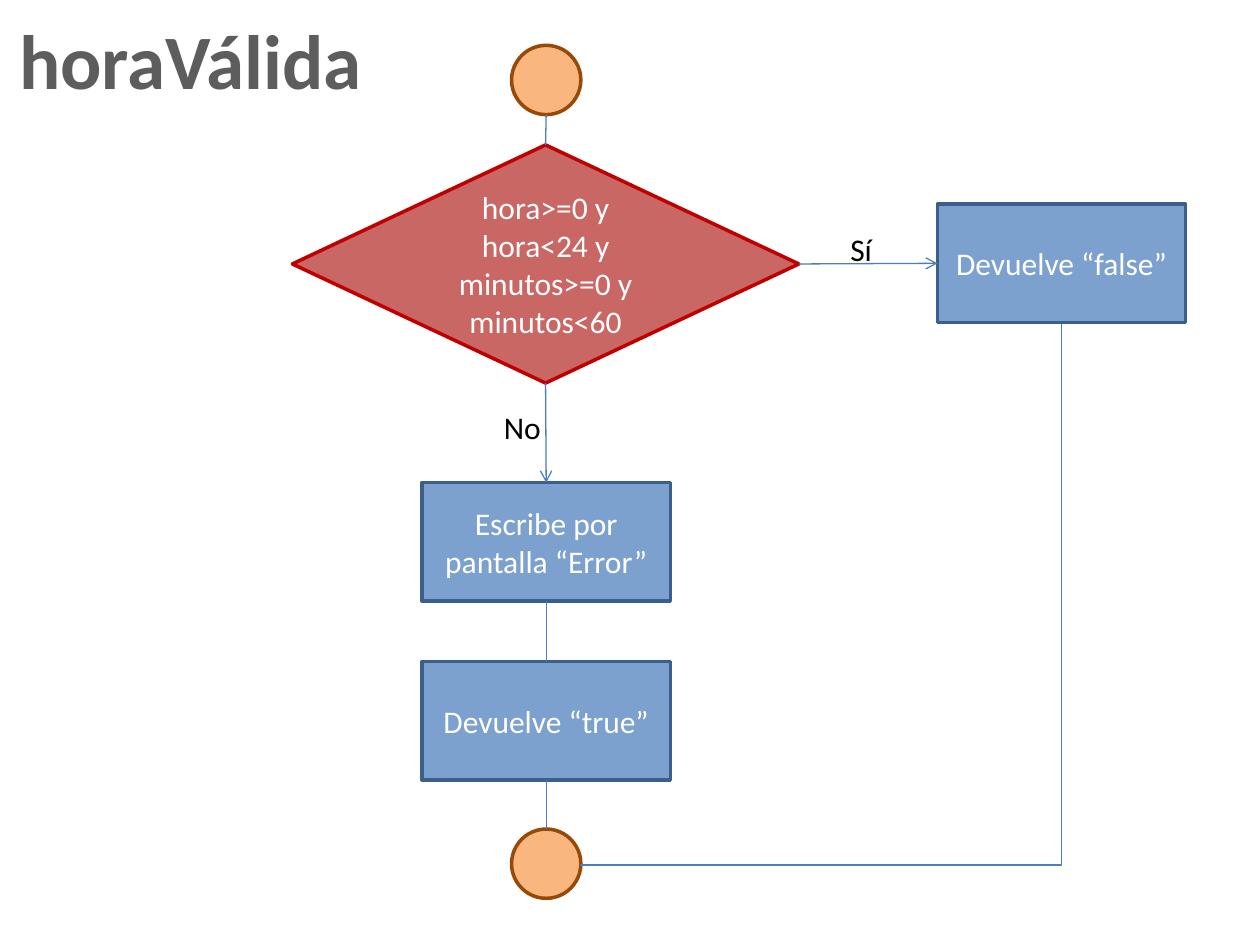
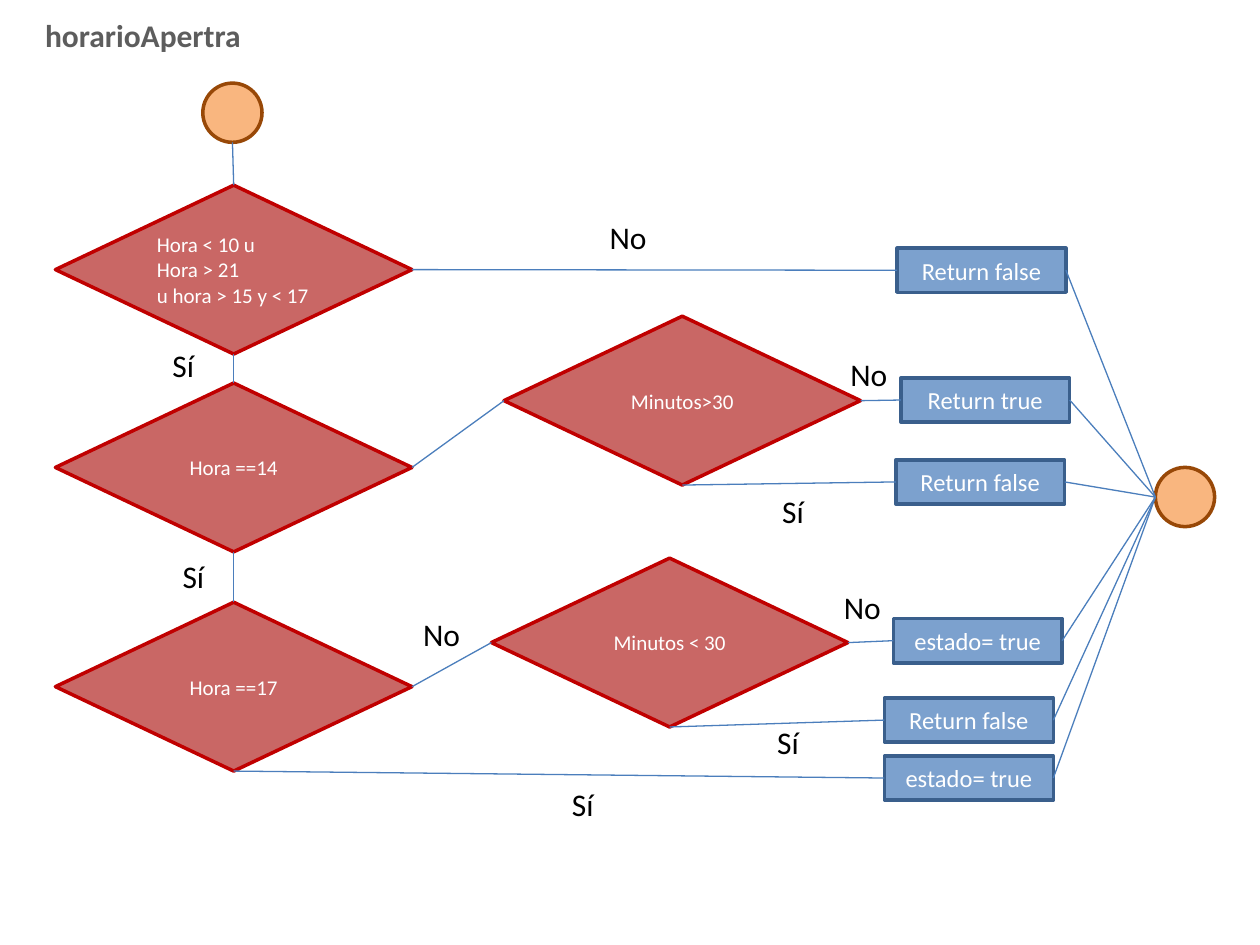
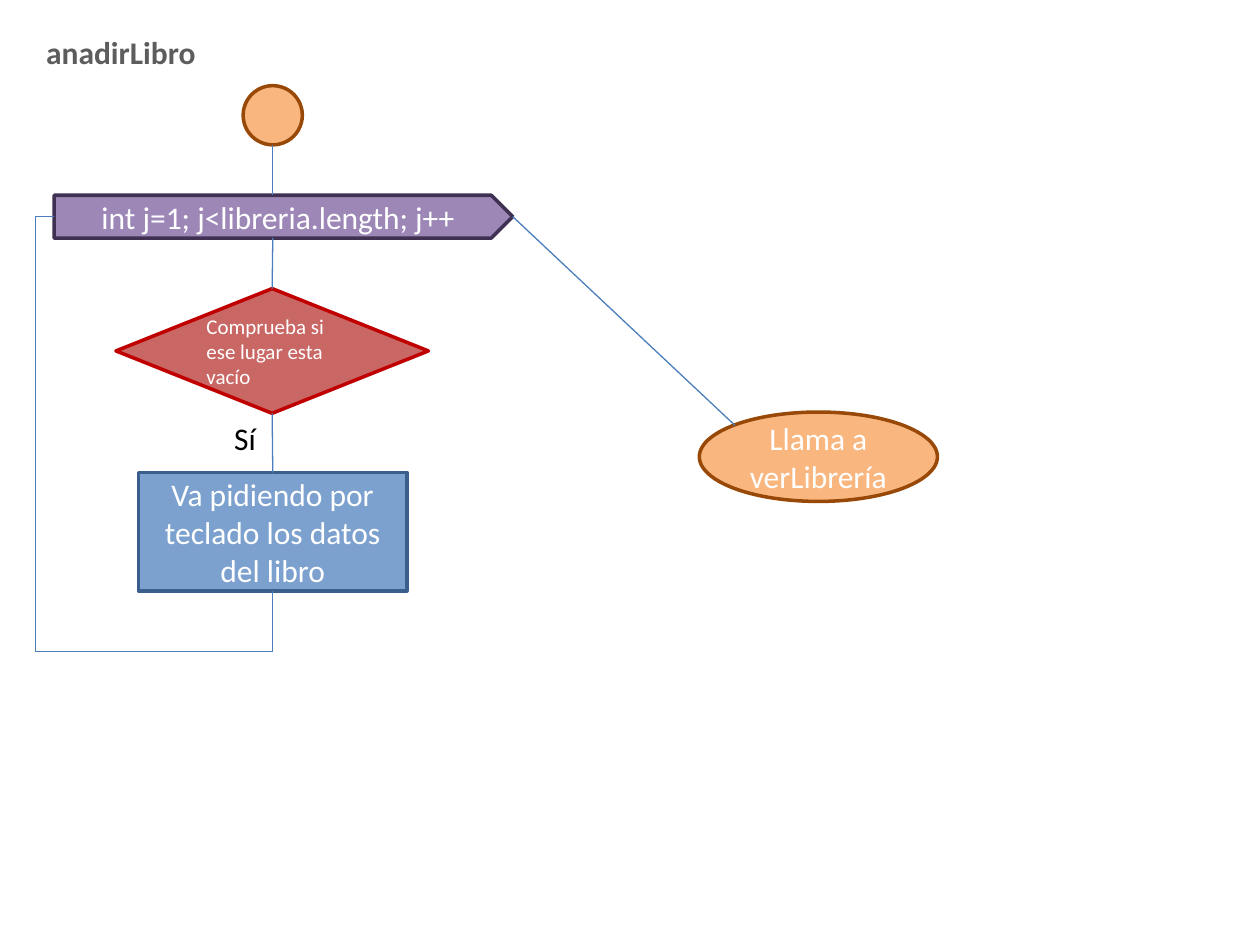
from dataclasses import dataclass

from lxml import etree
from pptx import Presentation
from pptx.dml.color import RGBColor
from pptx.enum.shapes import MSO_CONNECTOR, MSO_SHAPE
from pptx.enum.text import MSO_ANCHOR, PP_ALIGN
from pptx.oxml.ns import qn
from pptx.util import Inches, Pt

CENTER, LEFT = PP_ALIGN.CENTER, PP_ALIGN.LEFT
MIDDLE, TOP = MSO_ANCHOR.MIDDLE, MSO_ANCHOR.TOP
STRAIGHT, ELBOW = MSO_CONNECTOR.STRAIGHT, MSO_CONNECTOR.ELBOW


@dataclass(frozen=True)
class Theme:
    """Colours, type and line sizes shared by all the flowcharts."""
    font: str = "Calibri"
    title: str = "5D5D5D"
    label: str = "000000"
    node_text: str = "FFFFFF"
    link: str = "4B7EBC"
    large: int = 44
    normal: int = 18
    compact: int = 14
    small: int = 12
    node_line: float = 2
    link_line: float = 0.75


THEME = Theme()

# Kind of step: preset shape, fill, outline
KINDS = {
    "decision": (MSO_SHAPE.FLOWCHART_DECISION, "C96765", "C00000"),
    "process": (MSO_SHAPE.FLOWCHART_PROCESS, "7CA1CE", "3A5F8C"),
    "terminal": (MSO_SHAPE.FLOWCHART_CONNECTOR, "F9B67F", "984807"),
    "loop": (MSO_SHAPE.PENTAGON, "9D87B7", "403152"),
}

# Where links meet a step, as fractions of its width and height
SIDES = {"top": (0.5, 0), "left": (0, 0.5), "bottom": (0.5, 1),
         "right": (1, 0.5), "shoulder": (0.15, 0.15)}


def add_node(slide, kind, left, top, width, height, text="", size=THEME.normal, align=CENTER):
    """Draw one step and return the points where links meet it."""
    preset, fill, outline = KINDS[kind]
    node = slide.shapes.add_shape(preset, Inches(left), Inches(top), Inches(width), Inches(height))
    node.shadow.inherit = False
    node.fill.solid()
    node.fill.fore_color.rgb = RGBColor.from_string(fill)
    node.line.color.rgb = RGBColor.from_string(outline)
    node.line.width = Pt(THEME.node_line)
    node.text_frame.text = text
    node.text_frame.word_wrap = True
    node.text_frame.vertical_anchor = MIDDLE
    for paragraph in node.text_frame.paragraphs:
        paragraph.alignment = align
        paragraph.font.name = THEME.font
        paragraph.font.size = Pt(size)
        paragraph.font.color.rgb = RGBColor.from_string(THEME.node_text)
    return {side: (Inches(left + width * across), Inches(top + height * down))
            for side, (across, down) in SIDES.items()}


def add_link(slide, start, end, arrow=False, kind=STRAIGHT):
    """Draw a thin link between two points, with an arrowhead if asked."""
    link = slide.shapes.add_connector(kind, *start, *end)
    link.line.color.rgb = RGBColor.from_string(THEME.link)
    link.line.width = Pt(THEME.link_line)
    if arrow:
        etree.SubElement(link.line._get_or_add_ln(), qn("a:tailEnd"), type="arrow")
    etree.SubElement(link._element.spPr, qn("a:effectLst"))
    return link


prs = Presentation()
prs.slide_width, prs.slide_height = Inches(10), Inches(7.5)

# Titles: text, left, top, width, height, size
titles = [
    ("horaVálida", 0.04, 0.05, 2.95, 0.84, THEME.large),
    ("horarioApertra", 0.19, 0.08, 1.89, 0.4, THEME.normal),
    ("anadirLibro", 0.26, 0.21, 1.4, 0.4, THEME.normal),
]
for text, left, top, width, height, size in titles:
    title = prs.slides.add_slide(prs.slide_layouts[5]).shapes.title
    title.left, title.top = Inches(left), Inches(top)
    title.width, title.height = Inches(width), Inches(height)
    title.text_frame.text = text
    title.text_frame.word_wrap = False
    title.text_frame.vertical_anchor = TOP
    heading = title.text_frame.paragraphs[0]
    heading.alignment = CENTER
    heading.font.name = THEME.font
    heading.font.size = Pt(size)
    heading.font.bold = True
    heading.font.color.rgb = RGBColor.from_string(THEME.title)
valid_time, opening_hours, add_book = prs.slides

# Slide 1: is the time valid?
start = add_node(valid_time, "terminal", 4.06, 0.36, 0.55, 0.55)
in_range = add_node(valid_time, "decision", 2.32, 1.15, 4.02, 1.89,
                    "hora>=0 y hora<24 y minutos>=0 y minutos<60")
return_false = add_node(valid_time, "process", 7.44, 1.62, 1.97, 0.94, "Devuelve “false”")
write_error = add_node(valid_time, "process", 3.35, 3.83, 1.97, 0.94,
                       "Escribe por pantalla “Error”")
return_true = add_node(valid_time, "process", 3.35, 5.25, 1.97, 0.94, "Devuelve “true”")
finish = add_node(valid_time, "terminal", 4.06, 6.58, 0.55, 0.55)

add_link(valid_time, start["bottom"], in_range["top"])
add_link(valid_time, in_range["right"], return_false["left"], arrow=True)
add_link(valid_time, in_range["bottom"], write_error["top"], arrow=True)
add_link(valid_time, write_error["bottom"], return_true["top"])
add_link(valid_time, return_true["bottom"], finish["top"])

# One-bend link down and then left: a right-then-down bend turned by 90 degrees
bend = add_link(valid_time, (Inches(4.37), Inches(2.81)), (Inches(8.66), Inches(6.63)), kind=ELBOW)
bend._element.spPr.find(qn("a:xfrm")).set("rot", "5400000")
bend._element.spPr.find(qn("a:prstGeom")).set("prst", "bentConnector2")

# Slide 2: opening hours
start = add_node(opening_hours, "terminal", 1.61, 0.66, 0.47, 0.47)
finish = add_node(opening_hours, "terminal", 9.17, 3.71, 0.47, 0.47)

checks = [
    (0.44, 1.47, "Hora < 10 u\nHora > 21\nu hora > 15 y < 17", LEFT),
    (0.44, 3.04, "Hora ==14", CENTER),
    (0.44, 4.78, "Hora ==17", CENTER),
    (4, 2.51, "Minutos>30", CENTER),
    (3.9, 4.43, "Minutos < 30", CENTER),
]
closed, hour_14, hour_17, after_half, before_half = [
    add_node(opening_hours, "decision", left, top, 2.83, 1.34, text, THEME.small, align)
    for left, top, text, align in checks]

# Each outcome: left, top, text, the point it is reached from
outcomes = [
    (7.12, 1.97, "Return false", closed["right"]),
    (7.15, 3, "Return true", after_half["right"]),
    (7.11, 3.65, "Return false", after_half["bottom"]),
    (7.09, 4.91, "estado= true", before_half["right"]),
    (7.02, 5.54, "Return false", before_half["bottom"]),
    (7.02, 6, "estado= true", hour_17["bottom"]),
]
for left, top, text, origin in outcomes:
    outcome = add_node(opening_hours, "process", left, top, 1.34, 0.35, text, THEME.compact)
    add_link(opening_hours, origin, outcome["left"])
    add_link(opening_hours, outcome["right"], finish["left"])

for origin, target in [
    (start["bottom"], closed["top"]),
    (closed["bottom"], hour_14["top"]),
    (hour_14["bottom"], hour_17["top"]),
    (hour_14["right"], after_half["left"]),
    (hour_17["right"], before_half["left"]),
]:
    add_link(opening_hours, origin, target)

# Slide 3: add a book
start = add_node(add_book, "terminal", 1.93, 0.68, 0.47, 0.47)
each_book = add_node(add_book, "loop", 0.43, 1.55, 3.64, 0.34, "int j=1; j<libreria.length; j++")
is_empty = add_node(add_book, "decision", 0.92, 2.29, 2.48, 0.99,
                    "Comprueba si ese lugar esta vacío", THEME.small, LEFT)
ask_data = add_node(add_book, "process", 1.1, 3.75, 2.13, 0.94,
                    "Va pidiendo por teclado los datos del libro")
show_library = add_node(add_book, "terminal", 5.55, 3.27, 1.89, 0.71, "Llama a verLibrería")

axis = start["bottom"][0]
add_link(add_book, start["bottom"], (axis, Inches(1.55)))
add_link(add_book, (axis, Inches(1.89)), is_empty["top"])
add_link(add_book, is_empty["bottom"], ask_data["top"])
add_link(add_book, each_book["right"], show_library["shoulder"])

# The way back to the top of the loop
return_x, return_y = Inches(0.28), Inches(5.17)
way_back = [ask_data["bottom"], (axis, return_y), (return_x, return_y),
            (return_x, each_book["left"][1]), each_book["left"]]
for origin, target in zip(way_back, way_back[1:]):
    add_link(add_book, origin, target)

# Branch labels: text, left and top by slide
label_widths = {"Sí": 0.39, "No": 0.67}
branch_labels = [
    (valid_time, [("Sí", 6.65, 1.78), ("No", 3.9, 3.19)]),
    (opening_hours, [("Sí", 1.27, 2.7), ("Sí", 1.35, 4.37), ("Sí", 4.44, 6.18),
                     ("Sí", 6.11, 3.86), ("Sí", 6.07, 5.69), ("No", 3.26, 4.83),
                     ("No", 4.74, 1.68), ("No", 6.65, 2.77), ("No", 6.6, 4.62)]),
    (add_book, [("Sí", 1.76, 3.28)]),
]
for slide, labels in branch_labels:
    for text, left, top in labels:
        branch = slide.shapes.add_textbox(Inches(left), Inches(top),
                                          Inches(label_widths[text]), Inches(0.4))
        branch.text_frame.word_wrap = True
        branch.text_frame.text = text
        answer = branch.text_frame.paragraphs[0]
        answer.font.name = THEME.font
        answer.font.size = Pt(THEME.normal)
        answer.font.color.rgb = RGBColor.from_string(THEME.label)

prs.save("out.pptx")
